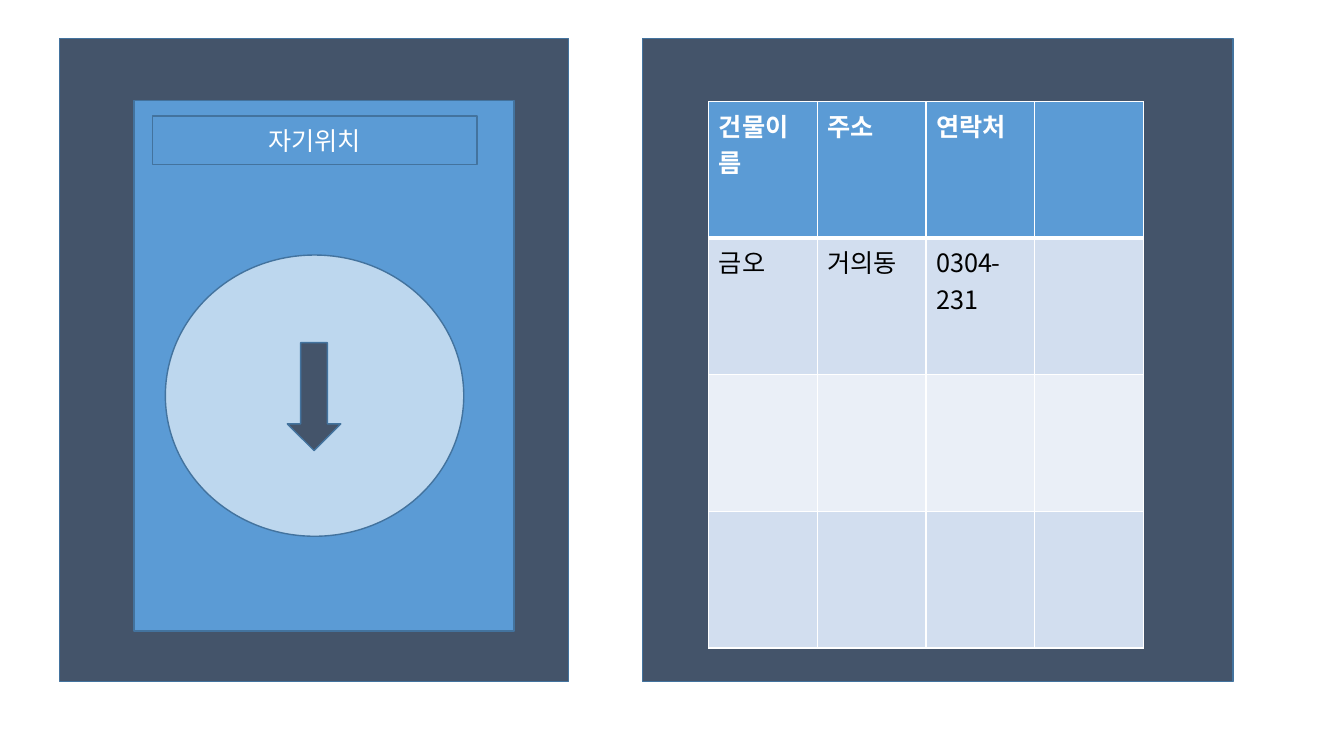
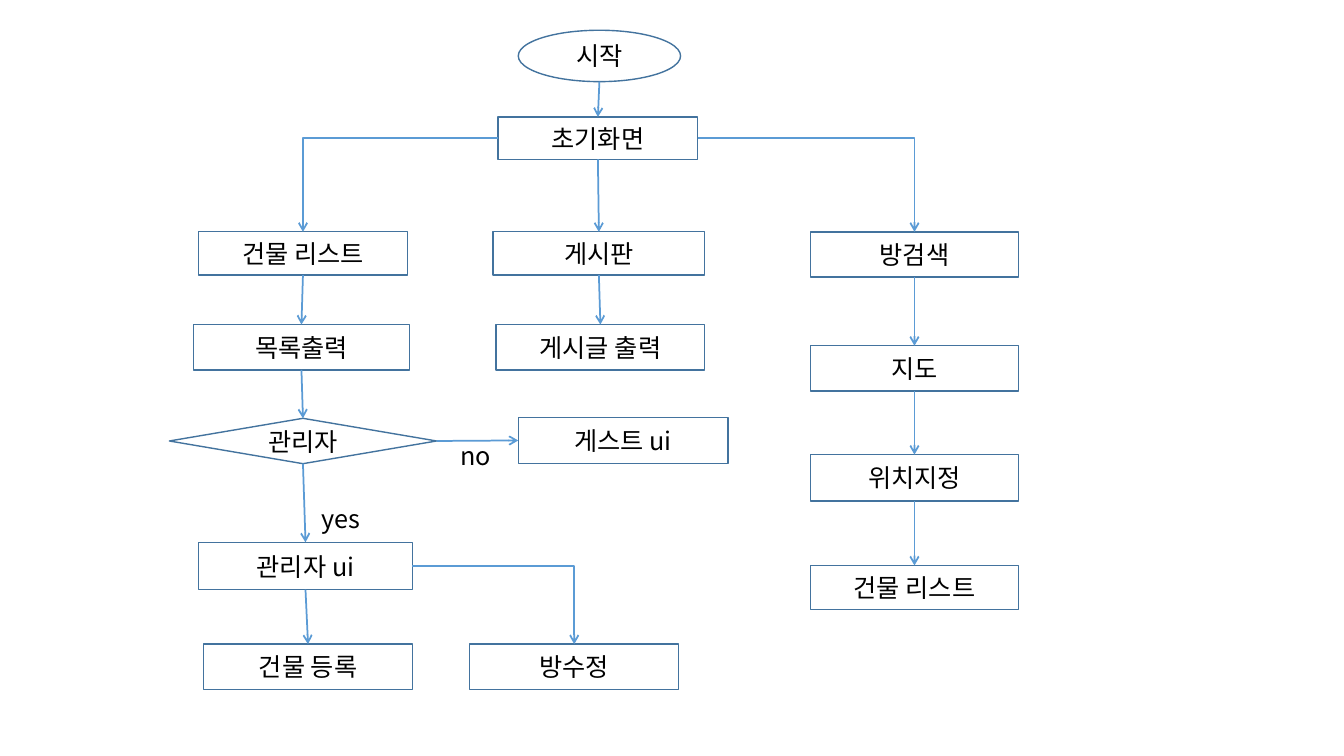
"""Build a two-slide deck: a phone screen mock-up and its flow chart."""
from dataclasses import dataclass

from lxml.etree import SubElement
from pptx import Presentation
from pptx.dml.color import RGBColor
from pptx.enum.shapes import MSO_CONNECTOR, MSO_SHAPE
from pptx.enum.text import MSO_ANCHOR, MSO_AUTO_SIZE, PP_ALIGN
from pptx.oxml import parse_xml
from pptx.oxml.ns import nsdecls, qn
from pptx.util import Inches, Pt


@dataclass(frozen=True)
class Theme:
    """Colours, font and sizes shared by both slides."""
    dark: str = "44546A"
    blue: str = "5B9BD5"
    pale: str = "BDD7EE"
    edge: str = "43739E"
    white: str = "FFFFFF"
    black: str = "000000"
    bands: tuple = ("D2DEEF", "EAEFF7")
    font: str = "Noto Sans CJK KR"
    size: float = 18
    thin: float = 1
    thick: float = 3
    arrow: float = 1.25


T = Theme()
RECT, OVAL = MSO_SHAPE.RECTANGLE, MSO_SHAPE.OVAL
TOP, LEFT, BOTTOM, RIGHT = range(4)

SCREEN = [
    (RECT, (0.59, 0.38, 5.05, 6.38), T.dark, ""),
    (RECT, (1.33, 1, 3.77, 5.26), T.blue, ""),
    (RECT, (1.51, 1.15, 3.22, 0.48), T.blue, "자기위치"),
    (OVAL, (1.64, 2.53, 2.96, 2.79), T.pale, ""),
    (MSO_SHAPE.DOWN_ARROW, (2.85, 3.4, 0.53, 1.07), T.dark, ""),
    (RECT, (6.37, 0.38, 5.86, 6.38), T.dark, ""),
]
GRID = (7.03, 1.01, 4.31, 5.42)
ROWS = [
    ("건물이름", "주소", "연락처", ""),
    ("금오", "거의동", "0304-231", ""),
    ("", "", "", ""),
    ("", "", "", ""),
]
STEPS = {
    "start": ("시작", 5.14, 0.3, 1.61, 0.51, OVAL),
    "home": ("초기화면", 4.94, 1.16, 1.98, 0.42),
    "list": ("건물 리스트", 1.97, 2.3, 2.07, 0.43),
    "board": ("게시판", 4.89, 2.3, 2.1, 0.43),
    "search": ("방검색", 8.04, 2.3, 2.06, 0.45),
    "print": ("목록출력", 1.92, 3.22, 2.14, 0.45),
    "admin": ("관리자", 1.68, 4.15, 2.65, 0.45, MSO_SHAPE.FLOWCHART_DECISION),
    "panel": ("관리자 ui", 1.97, 5.38, 2.12, 0.47),
    "guest": ("게스트 ui", 5.14, 4.14, 2.08, 0.46),
    "posts": ("게시글 출력", 4.92, 3.22, 2.07, 0.45),
    "map": ("지도", 8.04, 3.43, 2.06, 0.45),
    "place": ("위치지정", 8.04, 4.51, 2.06, 0.46),
    "found": ("건물 리스트", 8.04, 5.61, 2.06, 0.44),
    "add": ("건물 등록", 2.02, 6.39, 2.07, 0.45),
    "edit": ("방수정", 4.66, 6.39, 2.07, 0.45),
}
CHAINS = [
    ("start", "home", "board", "posts"),
    ("list", "print", "admin", "panel", "add"),
    ("search", "map", "place", "found"),
]
TURNS = [
    ("home", LEFT, "list", TOP),
    ("home", RIGHT, "search", TOP),
    ("panel", RIGHT, "edit", TOP),
]
LABELS = [("no", 4.47, 4.32), ("yes", 3.09, 4.94)]


def rgb(code):
    """Turn a hex code into a colour."""
    return RGBColor.from_string(code)


def write(frame, words, color=T.black, bold=False, align=PP_ALIGN.LEFT):
    """Put one formatted line of text in a frame."""
    para = frame.paragraphs[0]
    para.alignment = align
    run = para.add_run()
    run.text = words
    font = run.font
    font.name, font.size, font.bold = T.font, Pt(T.size), bold
    font.color.rgb = rgb(color)
    SubElement(font._element, qn("a:ea"), typeface=T.font)


def draw(slide, kind, box, fill, words="", color=T.white):
    """Add an outlined shape with centred text."""
    shape = slide.shapes.add_shape(kind, *map(Inches, box))
    shape.shadow.inherit = False
    shape.fill.solid()
    shape.fill.fore_color.rgb = rgb(fill)
    shape.line.color.rgb = rgb(T.edge)
    shape.line.width = Pt(T.thin)
    if words:
        shape.text_frame.vertical_anchor = MSO_ANCHOR.MIDDLE
        write(shape.text_frame, words, color=color, align=PP_ALIGN.CENTER)
    return shape


def edge(cell, side, width):
    """Draw one white border of a cell."""
    cell._tc.get_or_add_tcPr().append(parse_xml(
        f'<a:ln{side} {nsdecls("a")} w="{Pt(width)}"><a:solidFill>'
        f'<a:srgbClr val="{T.white}"/></a:solidFill></a:ln{side}>'))


def grid(slide):
    """Add the building table with its header and banded rows."""
    table = slide.shapes.add_table(len(ROWS), len(ROWS[0]), *map(Inches, GRID)).table
    for r, row in enumerate(ROWS):
        head = r == 0
        for c, words in enumerate(row):
            cell = table.cell(r, c)
            for side in "LRTB":
                heavy = (r, side) in ((0, "B"), (1, "T"))
                edge(cell, side, T.thick if heavy else T.thin)
            cell.fill.solid()
            cell.fill.fore_color.rgb = rgb(T.blue if head else T.bands[(r - 1) % 2])
            if words:
                write(cell.text_frame, words, color=T.white if head else T.black, bold=head)


def join(slide, first, out, last, into, bent=False):
    """Link two steps with an arrow, turning once if bent."""
    kind = MSO_CONNECTOR.ELBOW if bent else MSO_CONNECTOR.STRAIGHT
    line = slide.shapes.add_connector(
        kind, first.left + first.width // 2, first.top + first.height, last.left, last.top)
    if first.auto_shape_type != OVAL:
        line.begin_connect(first, out)
    line.end_connect(last, into)
    line.line.color.rgb = rgb(T.blue)
    line.line.width = Pt(T.arrow)
    SubElement(line.line._get_or_add_ln(), qn("a:tailEnd"), type="arrow")
    props = line._element.spPr
    SubElement(props, qn("a:effectLst"))
    if bent:
        props.find(qn("a:prstGeom")).set("prst", "bentConnector2")


def flow(slide):
    """Add the steps, their labels and the arrows between them."""
    steps = {}
    for key, (words, x, y, w, h, *kind) in STEPS.items():
        steps[key] = draw(slide, kind[0] if kind else RECT, (x, y, w, h), T.white, words, T.black)
    for words, x, y in LABELS:
        frame = slide.shapes.add_textbox(*map(Inches, (x, y, 0.94, 0.4))).text_frame
        frame.word_wrap = True
        frame.auto_size = MSO_AUTO_SIZE.SHAPE_TO_FIT_TEXT
        write(frame, words)
    for chain in CHAINS:
        for a, b in zip(chain, chain[1:]):
            join(slide, steps[a], BOTTOM, steps[b], TOP)
    join(slide, steps["admin"], RIGHT, steps["guest"], LEFT)
    for a, out, b, into in TURNS:
        join(slide, steps[a], out, steps[b], into, bent=True)


deck = Presentation()
deck.slide_width, deck.slide_height = Inches(13.33), Inches(7.5)
blank = deck.slide_layouts[6]
screen = deck.slides.add_slide(blank)
for part in SCREEN:
    draw(screen, *part)
grid(screen)
flow(deck.slides.add_slide(blank))
deck.save("out.pptx")
